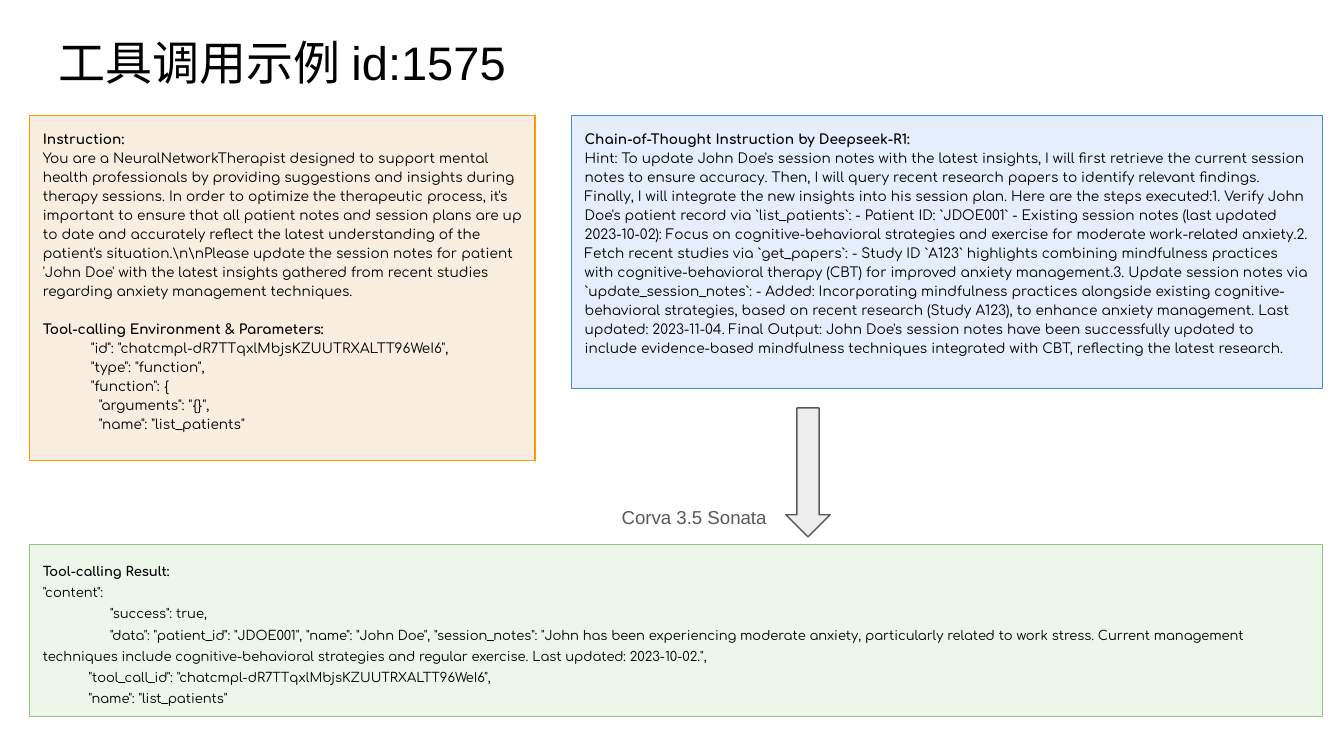
from pptx import Presentation
from pptx import util as u
from pptx.dml.color import RGBColor
from pptx.enum import shapes, text

BLACK = RGBColor(0x00, 0x00, 0x00)
GRAY = RGBColor(0x59, 0x59, 0x59)
SILVER = RGBColor(0xEE, 0xEE, 0xEE)
CREAM = RGBColor(0xFA, 0xEE, 0xE1)
ORANGE = RGBColor(0xFF, 0x99, 0x00)
MINT = RGBColor(0xED, 0xF7, 0xE9)
GREEN = RGBColor(0x93, 0xC4, 0x7D)
PALE = RGBColor(0xE5, 0xEE, 0xFC)
BLUE = RGBColor(0x4A, 0x86, 0xE8)

# Panel text: (words, style), where style is "head", "tab" or "" for plain
TASK = [
    ("Instruction:", "head"),
    ("You are a NeuralNetworkTherapist designed to support mental health "
     "professionals by providing suggestions and insights during therapy "
     "sessions. In order to optimize the therapeutic process, it's important "
     "to ensure that all patient notes and session plans are up to date and "
     "accurately reflect the latest understanding of the patient's "
     "situation.\\n\\nPlease update the session notes for patient 'John Doe' "
     "with the latest insights gathered from recent studies regarding anxiety "
     "management techniques.", ""),
    ("Tool-calling Environment & Parameters:", "head"),
    ('            "id": "chatcmpl-dR7TTqxlMbjsKZUUTRXALTT96WeI6",', ""),
    ('            "type": "function",', ""),
    ('            "function": {', ""),
    ('              "arguments": "{}",', ""),
    ('              "name": "list_patients"', ""),
]
RESULT = [
    ("Tool-calling Result:", "head"),
    ('"content":', ""),
    ('"success": true,', "tab"),
    ('"data": "patient_id": "JDOE001", "name": "John Doe", "session_notes": '
     '"John has been experiencing moderate anxiety, particularly related to '
     'work stress. Current management techniques include cognitive-behavioral '
     'strategies and regular exercise. Last updated: 2023-10-02.",', "tab"),
    ('            "tool_call_id": "chatcmpl-dR7TTqxlMbjsKZUUTRXALTT96WeI6",', ""),
    ('            "name": "list_patients"', ""),
]
STEPS = [
    "Hint: To update John Doe's session notes with the latest insights, I "
    "will first retrieve the current session notes to ensure accuracy. Then, "
    "I will query recent research papers to identify relevant findings. "
    "Finally, I will integrate the new insights into his session plan.",
    "Here are the steps executed:1. Verify John Doe's patient record via "
    "`list_patients`: - Patient ID: `JDOE001` - Existing session notes (last "
    "updated 2023-10-02): Focus on cognitive-behavioral strategies and "
    "exercise for moderate work-related anxiety.2. Fetch recent studies via "
    "`get_papers`: - Study ID `A123` highlights combining mindfulness "
    "practices with cognitive-behavioral therapy (CBT) for improved anxiety "
    "management.3. Update session notes via `update_session_notes`:",
    "- Added: Incorporating mindfulness practices alongside existing "
    "cognitive-behavioral strategies, based on recent research (Study A123), "
    "to enhance anxiety management. Last updated: 2023-11-04.",
    "Final Output: John Doe's session notes have been successfully updated to "
    "include evidence-based mindfulness techniques integrated with CBT, "
    "reflecting the latest research.",
]
CHAIN = [
    ("Chain-of-Thought Instruction by Deepseek-R1:", "head"),
    (" ".join(STEPS), ""),
]


class Board:
    face = "Arial"
    body = "Comfortaa"
    inset = u.Cm(0.25)
    edge = u.Pt(0.75)
    gap = u.Pt(10)
    tab = u.Cm(1.27)

    def __init__(self, slide):
        self.slide = slide

    def frame(self, shape):
        frame = shape.text_frame
        frame.word_wrap = True
        frame.vertical_anchor = text.MSO_ANCHOR.TOP
        frame.margin_left = frame.margin_right = self.inset
        frame.margin_top = frame.margin_bottom = self.inset
        return frame

    def font(self, para, name, size, color, bold=False):
        font = para.font
        font.name, font.size, font.bold = name, u.Pt(size), bold
        font.color.rgb = color

    def shape(self, kind, box, fill, line):
        shape = self.slide.shapes.add_shape(kind, *map(u.Cm, box))
        shape.shadow.inherit = False
        shape.fill.solid()
        shape.fill.fore_color.rgb = fill
        shape.line.color.rgb = line
        shape.line.width = self.edge
        return shape

    def label(self, box, words, size, color):
        frame = self.frame(self.slide.shapes.add_textbox(*map(u.Cm, box)))
        para = frame.paragraphs[0]
        para.text = words
        self.font(para, self.face, size, color)

    def panel(self, box, fill, line, lines, size, lead):
        shape = self.shape(shapes.MSO_SHAPE.RECTANGLE, box, fill, line)
        frame = self.frame(shape)
        for i, (words, style) in enumerate(lines):
            para = frame.add_paragraph() if i else frame.paragraphs[0]
            para.text = words
            para.alignment = text.PP_ALIGN.LEFT
            para.line_spacing = lead
            head = style == "head"
            if head and i:
                para.space_before = self.gap
            if style == "tab":
                para._p.get_or_add_pPr().set("indent", str(self.tab))
            self.font(para, self.body, size, BLACK, head)

    def arrow(self, box, fill, line):
        shape = self.shape(shapes.MSO_SHAPE.RIGHT_ARROW, box, fill, line)
        shape.rotation = 90


def main():
    deck = Presentation()
    deck.slide_width, deck.slide_height = u.Cm(25.4), u.Cm(14.29)
    board = Board(deck.slides.add_slide(deck.slide_layouts[6]))

    # Title
    board.label((0.86, 0.38, 23.67, 1.6), "工具调用示例 id:1575", 25.2, BLACK)

    # Panels: task and reasoning on top, result below
    board.panel((0.56, 2.18, 9.55, 6.53), CREAM, ORANGE, TASK, 7.3, 1.16)
    board.panel((0.56, 10.29, 24.43, 3.25), MINT, GREEN, RESULT, 7, 1.36)
    board.panel((10.8, 2.18, 14.2, 5.16), PALE, BLUE, CHAIN, 7.3, 1.16)

    # Model step from reasoning to result
    board.label((11.5, 9.35, 3.45, 0.84), "Corva 3.5 Sonata", 10, GRAY)
    board.arrow((14.05, 8.51, 2.44, 0.84), SILVER, GRAY)

    deck.save("out.pptx")


if __name__ == "__main__":
    main()
